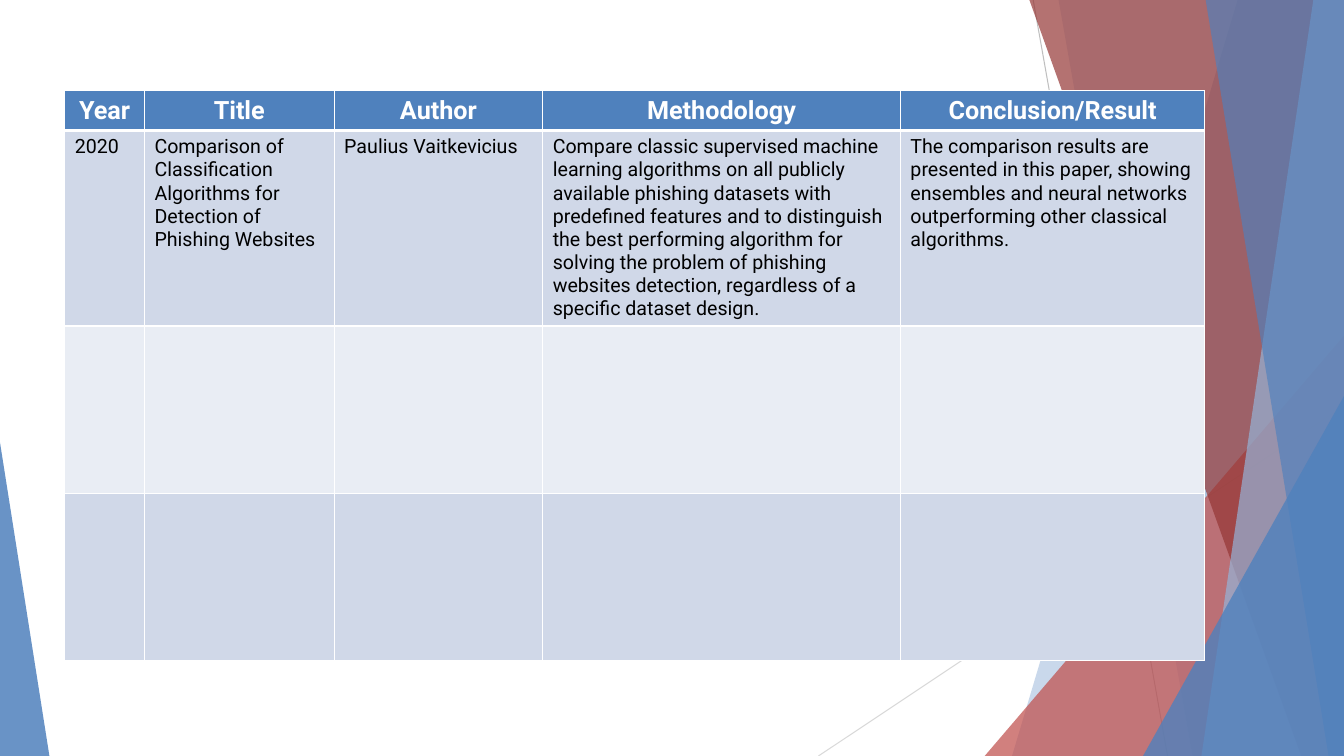
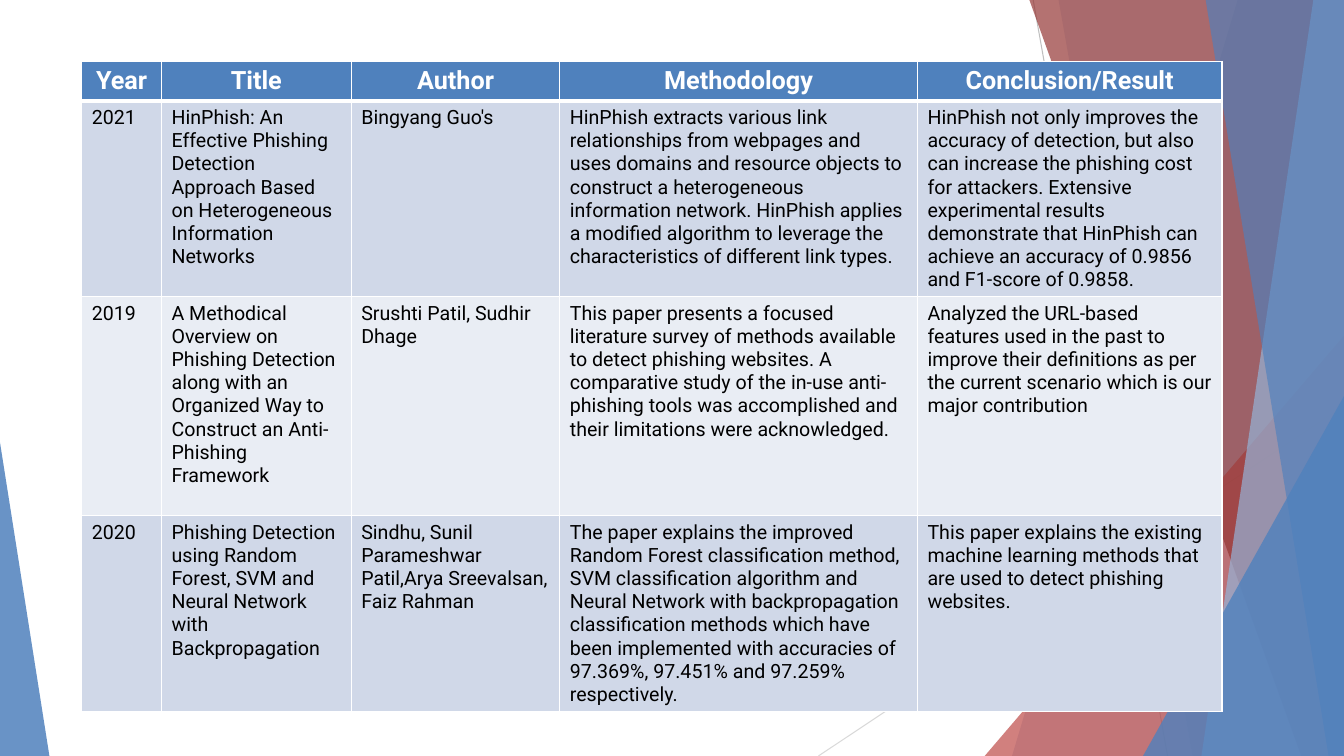
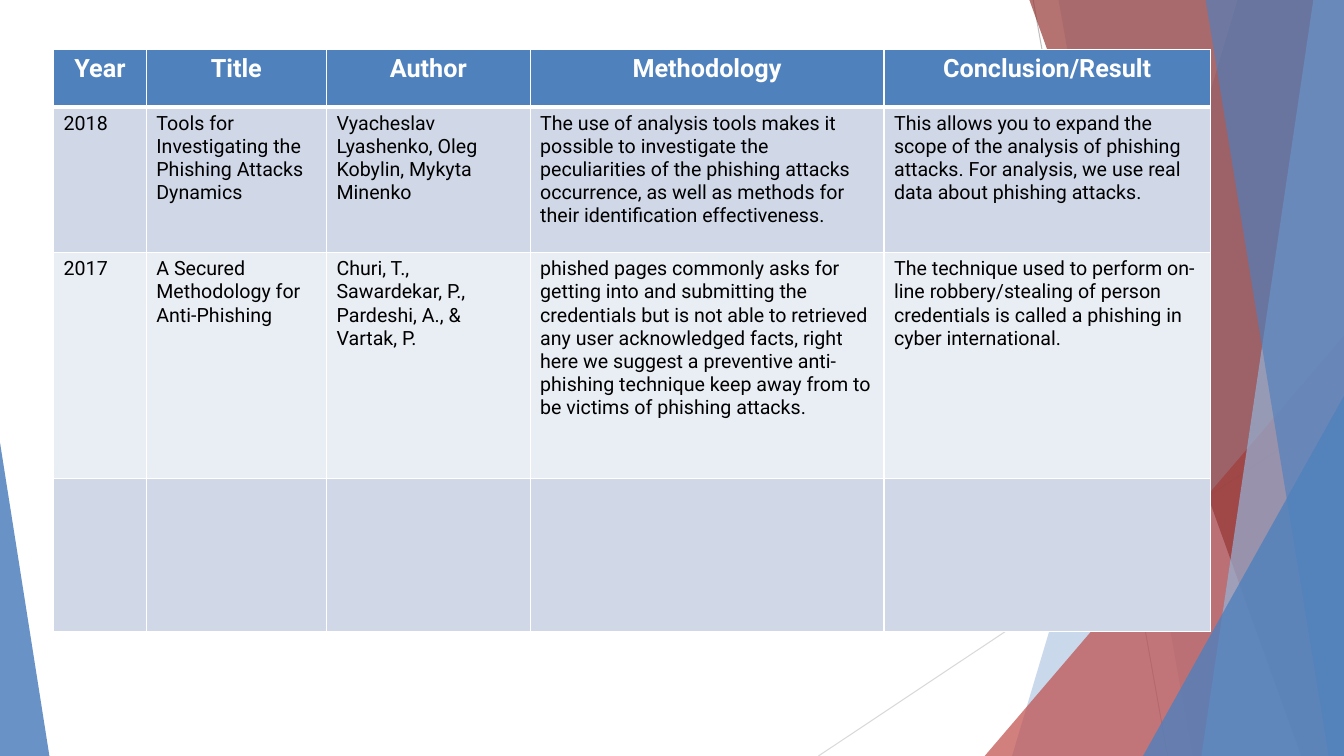
from lxml import etree
from pptx import Presentation
from pptx.dml.color import RGBColor
from pptx.enum.shapes import MSO_CONNECTOR, MSO_SHAPE
from pptx.enum.text import PP_ALIGN
from pptx.oxml.ns import qn
from pptx.util import Pt

STRAIGHT = MSO_CONNECTOR.STRAIGHT
TRIANGLE = MSO_SHAPE.ISOSCELES_TRIANGLE
CENTER, LEFT = PP_ALIGN.CENTER, PP_ALIGN.LEFT

WIDTH, HEIGHT = 960, 540
BLEED_TOP = -0.6
FONT = "Roboto"
COLORS = {
    "blue": "4F81BD", "light_blue": "95B3D7", "red": "C0504D", "dark_red": "953735",
    "gray": "BFBFBF", "light_gray": "D9D9D9",
    "odd_row": "D0D8E8", "even_row": "E9EDF4", "white": "FFFFFF", "black": "000000",
}

HEADINGS = ["Year", "Title", "Author", "Methodology", "Conclusion/Result"]
NO_PAPER = [""] * len(HEADINGS)
COLUMNS = [57, 135.5, 149, 255.5, 217.5]

# Each survey: table corner, column widths, row heights, papers
SURVEYS = [
    {
        "corner": (46.2, 64.8), "columns": COLUMNS, "rows": [28, 139, 119.5, 119.5],
        "papers": [
            ["2020",
             "Comparison of Classification Algorithms for Detection of Phishing Websites",
             "Paulius Vaitkevicius",
             "Compare classic supervised machine learning algorithms on all publicly "
             "available phishing datasets with predefined features and to distinguish "
             "the best performing algorithm for solving the problem of phishing websites "
             "detection, regardless of a specific dataset design.",
             "The comparison results are presented in this paper, showing ensembles and "
             "neural networks outperforming other classical algorithms."],
            NO_PAPER,
            NO_PAPER,
        ],
    },
    {
        "corner": (58.4, 44), "columns": COLUMNS, "rows": [28, 139, 156.5, 139],
        "papers": [
            ["2021",
             "HinPhish: An Effective Phishing Detection Approach Based on Heterogeneous "
             "Information Networks",
             "Bingyang Guo's",
             "HinPhish extracts various link relationships from webpages and uses domains "
             "and resource objects to construct a heterogeneous information network. "
             "HinPhish applies a modified algorithm to leverage the characteristics of "
             "different link types.",
             "HinPhish not only improves the accuracy of detection, but also can increase "
             "the phishing cost for attackers. Extensive experimental results demonstrate "
             "that HinPhish can achieve an accuracy of 0.9856 and F1-score of 0.9858."],
            ["2019",
             "A Methodical Overview on Phishing Detection along with an Organized Way to "
             "Construct an Anti-Phishing Framework",
             "Srushti Patil, Sudhir Dhage",
             "This paper presents a focused literature survey of methods available to "
             "detect phishing websites. A comparative study of the in-use anti-phishing "
             "tools was accomplished and their limitations were acknowledged.",
             "Analyzed the URL-based features used in the past to improve their "
             "definitions as per the current scenario which is our major contribution"],
            ["2020",
             "Phishing Detection using Random Forest, SVM and Neural Network with "
             "Backpropagation",
             "Sindhu, Sunil Parameshwar Patil,Arya Sreevalsan, Faiz Rahman",
             "The paper explains the improved Random Forest classification method, SVM "
             "classification algorithm and Neural Network with backpropagation "
             "classification methods which have been implemented with accuracies of "
             "97.369%, 97.451% and 97.259% respectively.",
             "This paper explains the existing machine learning methods that are used to "
             "detect phishing websites."],
        ],
    },
    {
        "corner": (38.3, 35.3), "columns": [66.2, 128.7, 145.5, 252.8, 233.2],
        "rows": [41, 104, 161.3, 109.4],
        "papers": [
            ["2018",
             "Tools for Investigating the Phishing Attacks Dynamics",
             "Vyacheslav Lyashenko, Oleg Kobylin, Mykyta Minenko",
             "The use of analysis tools makes it possible to investigate the "
             "peculiarities of the phishing attacks occurrence, as well as methods for "
             "their identification effectiveness.",
             "This allows you to expand the scope of the analysis of phishing attacks. "
             "For analysis, we use real data about phishing attacks."],
            ["2017",
             "A Secured Methodology for Anti-Phishing",
             "Churi, T., Sawardekar, P., Pardeshi, A., & Vartak, P.",
             "phished pages commonly asks for getting into and submitting the credentials "
             "but is not able to retrieved any user acknowledged facts, right here we "
             "suggest a preventive anti-phishing technique keep away from to be victims "
             "of phishing attacks.",
             "The technique used to perform on-line robbery/stealing of person "
             "credentials is called a phishing in cyber international."],
            NO_PAPER,
        ],
    },
]


def color(name):
    return RGBColor.from_string(COLORS[name])


def paint(facet, fill, opacity):
    facet.shadow.inherit = False
    facet.line.fill.background()
    facet.fill.solid()
    facet.fill.fore_color.rgb = color(fill)
    rgb = facet.element.spPr.find(".//" + qn("a:srgbClr"))
    etree.SubElement(rgb, qn("a:alpha"), val=str(opacity * 1000))


def add_ray(shapes, start, end, stroke):
    ray = shapes.add_connector(STRAIGHT, *map(Pt, start + end))
    ray.line.color.rgb = color(stroke)
    ray.line.width = Pt(0.75)
    etree.SubElement(ray.element.spPr, qn("a:effectLst"))


def add_band(shapes, top_x, bottom_x, fill, opacity):
    """Full-height band between a slanted edge and the slide's right side."""
    outline = shapes.build_freeform(Pt(top_x), Pt(BLEED_TOP))
    corners = [(WIDTH, BLEED_TOP), (WIDTH, HEIGHT), (bottom_x, HEIGHT)]
    outline.add_line_segments([(Pt(x), Pt(y)) for x, y in corners])
    paint(outline.convert_to_shape(), fill, opacity)


def add_corner(shapes, left, top, width, apex, fill, opacity):
    """Right-angled triangle standing on the bottom of the slide."""
    corner = shapes.add_shape(TRIANGLE, Pt(left), Pt(top), Pt(width), Pt(HEIGHT - top))
    corner.adjustments[0] = apex
    paint(corner, fill, opacity)


def add_facets(slide, layout):
    """Draw the facets, then hand them to the layout that all slides share."""
    shapes = slide.shapes
    add_ray(shapes, (738, 0), (834, HEIGHT), "gray")
    add_ray(shapes, (WIDTH, 290), (584.6, HEIGHT), "light_gray")
    add_band(shapes, 884.2, 722.9, "blue", 30)
    add_band(shapes, 756, 851.8, "blue", 20)
    add_corner(shapes, 703.4, 239.8, 256.6, 1, "red", 72)
    add_band(shapes, 735.1, 929.5, "dark_red", 70)
    add_band(shapes, 938.2, 858.2, "light_blue", 70)
    add_band(shapes, 861.1, 949, "blue", 65)
    add_corner(shapes, 816.5, 283, 143.5, 1, "blue", 80)
    add_corner(shapes, 0, 316.1, 35.3, 0, "blue", 85)
    for facet in list(shapes):
        layout.shapes.element.append(facet.element)


def set_borders(cell, bottom):
    properties = cell._tc.get_or_add_tcPr()
    widths = {"a:lnL": 1, "a:lnR": 1, "a:lnT": 1, "a:lnB": bottom}
    for place, (side, width) in enumerate(widths.items()):
        border = etree.Element(qn(side), w=str(Pt(width)))
        fill = etree.SubElement(border, qn("a:solidFill"))
        etree.SubElement(fill, qn("a:srgbClr"), val=COLORS["white"])
        properties.insert(place, border)


def fill_cell(cell, text, row):
    heading = row == 0
    band = "odd_row" if row % 2 else "even_row"
    cell.fill.solid()
    cell.fill.fore_color.rgb = color("blue" if heading else band)
    set_borders(cell, 3 if row == 0 else 1)
    cell.text = text
    paragraph = cell.text_frame.paragraphs[0]
    paragraph.alignment = CENTER if heading else LEFT
    paragraph.font.name = FONT
    paragraph.font.size = Pt(18 if heading else 14)
    paragraph.font.bold = heading
    paragraph.font.color.rgb = color("white" if heading else "black")


def add_survey(slide, corner, columns, rows, papers):
    box = [*corner, sum(columns), sum(rows)]
    survey = slide.shapes.add_table(len(rows), len(columns), *map(Pt, box)).table
    for column, width in zip(survey.columns, columns):
        column.width = Pt(width)
    for row, height in zip(survey.rows, rows):
        row.height = Pt(height)
    for row, texts in enumerate([HEADINGS] + papers):
        for column, text in enumerate(texts):
            fill_cell(survey.cell(row, column), text, row)


def main():
    deck = Presentation()
    deck.slide_width, deck.slide_height = Pt(WIDTH), Pt(HEIGHT)
    blank = deck.slide_layouts[6]
    slides = [deck.slides.add_slide(blank) for _ in SURVEYS]
    add_facets(slides[0], blank)
    for slide, survey in zip(slides, SURVEYS):
        add_survey(slide, **survey)
    deck.save("out.pptx")


if __name__ == "__main__":
    main()
